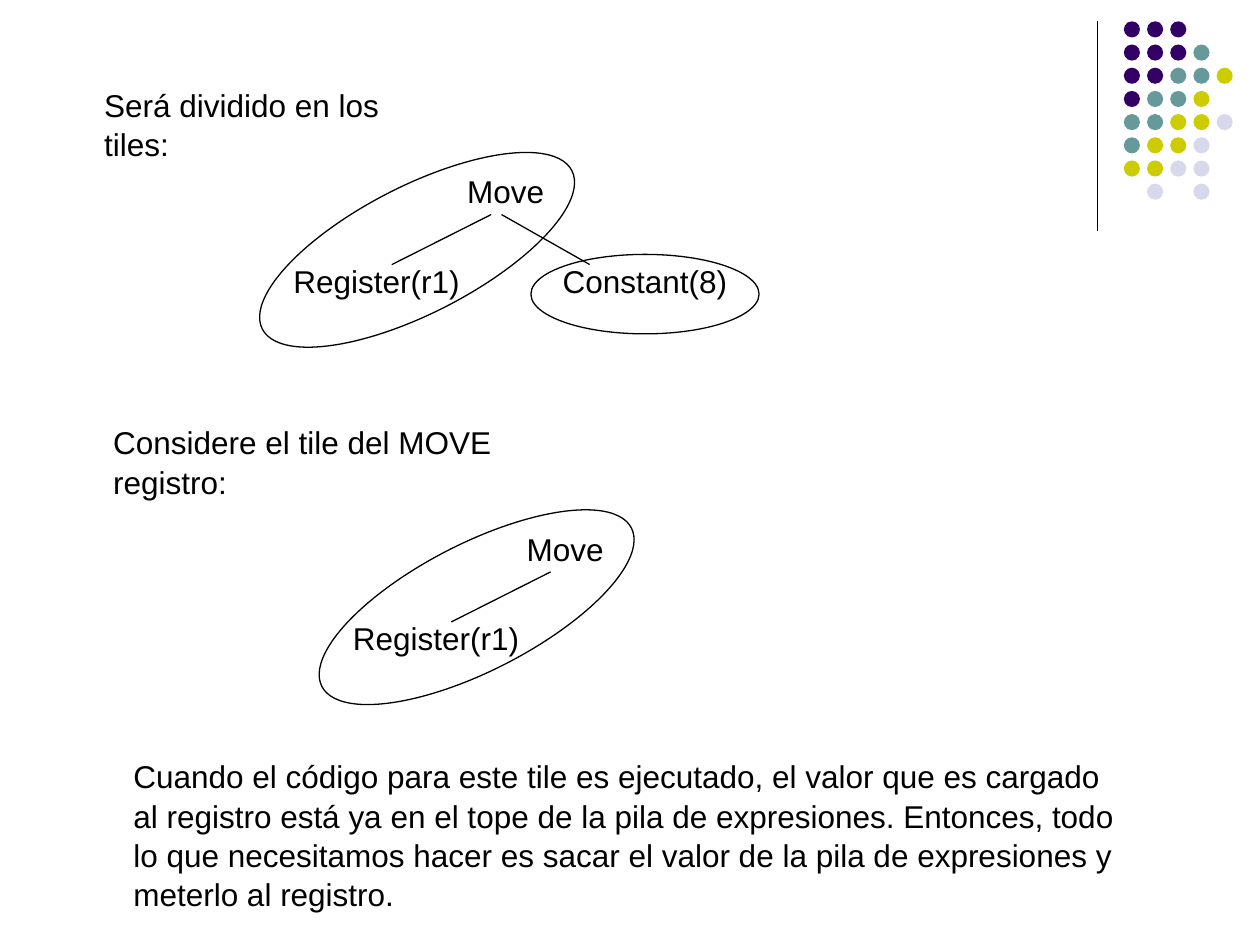
import pptx
import pptx.dml.color
import pptx.enum.shapes
import pptx.enum.text
import pptx.oxml.ns
import pptx.util
from lxml import etree

Pt = pptx.util.Pt
RGBColor = pptx.dml.color.RGBColor
ALIGN = pptx.enum.text.PP_ALIGN
OVAL = pptx.enum.shapes.MSO_SHAPE.OVAL

BLACK = RGBColor(0x00, 0x00, 0x00)
PURPLE = RGBColor(0x33, 0x00, 0x66)
TEAL = RGBColor(0x66, 0x99, 0x99)
OLIVE = RGBColor(0xCC, 0xCC, 0x00)
LAVENDER = RGBColor(0xD8, 0xD8, 0xEC)

DOT_COLORS = {"P": PURPLE, "T": TEAL, "O": OLIVE, "L": LAVENDER}
DOT_ROWS = ["PPP", "PPPT", "PPTTO", "PTTO", "TTOOL", "TOOL", "OOLL", " L L"]
DOT_LEFT, DOT_TOP, DOT_PITCH, DOT_SIZE = 642.2, 12.2, 13.25, 9.2

FONT = {"name": "Arial", "size": Pt(18)}
NODE_W, NODE_H = 164, 28.8

EXPLANATION = (
    "Cuando el código para este tile es ejecutado, el valor que es cargado "
    "al registro está ya en el tope de la pila de expresiones. Entonces, "
    "todo lo que necesitamos hacer es sacar el valor de la pila de "
    "expresiones y meterlo al registro."
)


def add_line(s, x1, y1, x2, y2):
    c = s.shapes.add_connector(
        pptx.enum.shapes.MSO_CONNECTOR.STRAIGHT, Pt(x1), Pt(y1), Pt(x2), Pt(y2))
    c.line.color.rgb = BLACK
    c.line.width = Pt(0.75)
    etree.SubElement(c._element.spPr, pptx.oxml.ns.qn("a:effectLst"))


def add_text(s, text, x, y, w, h, align=ALIGN.LEFT, wrap=True):
    tf = s.shapes.add_textbox(Pt(x), Pt(y), Pt(w), Pt(h)).text_frame
    tf.word_wrap = wrap
    p = tf.paragraphs[0]
    p.alignment = align
    p.line_spacing = 1.04
    r = p.add_run()
    r.text = text
    for name, value in FONT.items():
        setattr(r.font, name, value)
    r.font.color.rgb = BLACK


def add_node(s, text, x, y):
    add_text(s, text, x, y, NODE_W, NODE_H, ALIGN.CENTER)


def add_outline(s, x, y, w, h, rotation=0):
    """Draw the unfilled ellipse that encloses a tile."""
    sp = s.shapes.add_shape(OVAL, Pt(x), Pt(y), Pt(w), Pt(h))
    sp.rotation = rotation
    sp.shadow.inherit = False
    sp.fill.background()
    sp.line.color.rgb = BLACK
    sp.line.width = Pt(0.75)


def add_dots(s):
    group = s.shapes.add_group_shape()
    for row, colors in enumerate(DOT_ROWS):
        for col, key in enumerate(colors):
            if key == " ":
                continue
            sp = group.shapes.add_shape(
                OVAL, Pt(DOT_LEFT + col * DOT_PITCH),
                Pt(DOT_TOP + row * DOT_PITCH), Pt(DOT_SIZE), Pt(DOT_SIZE))
            sp.shadow.inherit = False
            sp.fill.solid()
            sp.fill.fore_color.rgb = DOT_COLORS[key]
            sp.line.fill.background()


def add_move_tile(s, x, y):
    """Draw the Move-Register tile with its Register node at x, y."""
    add_node(s, "Move", x + 73.8, y - 51.2)
    add_line(s, x + 147.5, y - 22.8, x + 90.7, y + 5.8)
    add_node(s, "Register(r1)", x, y)
    add_outline(s, x + 5.8, y - 39, 198.7, 72.7, 332.9)


def add_constant_tile(s):
    add_line(s, 286.6, 122.6, 337, 151.2)
    add_node(s, "Constant(8)", 286.6, 145.4)
    add_outline(s, 303.4, 145.4, 130.4, 45.4)


def main():
    prs = pptx.Presentation()
    prs.slide_width, prs.slide_height = Pt(720), Pt(540)
    s = prs.slides.add_slide(prs.slide_layouts[6])

    add_line(s, 627, 12, 627, 132)
    add_dots(s)

    add_text(s, "Será dividido en los tiles:", 52.5, 44.6, 213, 28.8, wrap=False)
    add_move_tile(s, 133.2, 145.4)
    add_constant_tile(s)

    add_text(s, "Considere el tile del MOVE registro:", 57.6, 237.6, 300, 28.8,
             wrap=False)
    add_move_tile(s, 167.2, 349.6)

    add_text(s, EXPLANATION, 69.1, 428.4, 579.6, 93.6)
    prs.save("out.pptx")


if __name__ == "__main__":
    main()
